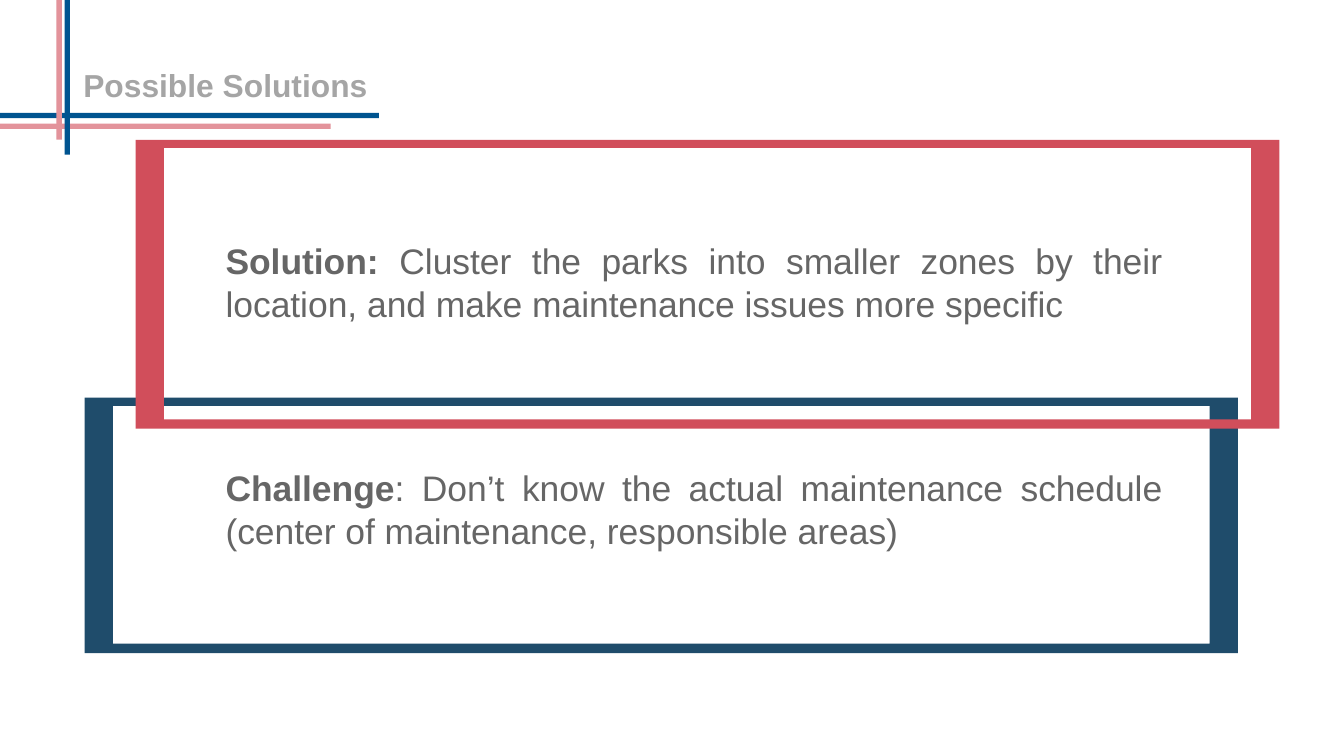
from pptx import Presentation
from pptx import util as u
from pptx.dml.color import RGBColor
from pptx.enum import shapes, text

Inches, Pt = u.Inches, u.Pt


def color(value):
    return RGBColor.from_string(value)


def add_run(p, content, size=19, fill="666666", bold=False, font="Arial"):
    r = p.add_run()
    r.text = content
    r.font.name, r.font.size, r.font.bold = font, Pt(size), bold
    r.font.color.rgb = color(fill)


class Deck:
    BLUE, PINK = "005490", "E3939B"
    NAVY, RED = "1F4C6B", "D14E5B"
    GREY = "A5A5A5"
    BAR_LENGTH, BAR_WIDTH = 3.84, 0.04

    def __init__(self, s):
        self.s = s

    def paint(self, sp, fill):
        sp.shadow.inherit = False
        sp.fill.solid()
        sp.fill.fore_color.rgb = color(fill)
        sp.line.fill.background()

    def bar(self, x, y, fill, rotation=0):
        sp = self.s.shapes.add_shape(
            shapes.MSO_SHAPE.RECTANGLE, Inches(x), Inches(y),
            Inches(self.BAR_LENGTH), Inches(self.BAR_WIDTH))
        sp.rotation = rotation
        self.paint(sp, fill)

    def frame(self, x, y, w, h, fill, side=0.21, top=0.06, bottom=0.07):
        def corners(x1, y1, x2, y2):
            return [(Inches(a), Inches(b)) for a, b in (
                (x1, y1), (x2, y1), (x2, y2), (x1, y2))]

        outer = corners(x, y, x + w, y + h)
        # The inner contour runs the other way round, so it cuts a hole
        inner = corners(x + side, y + top, x + w - side, y + h - bottom)[::-1]
        builder = self.s.shapes.build_freeform(*outer[0])
        builder.add_line_segments(outer[1:], close=True)
        builder.move_to(*inner[0])
        builder.add_line_segments(inner[1:], close=True)
        self.paint(builder.convert_to_shape(), fill)

    def textbox(self, x, y, w, h, inset=0):
        sp = self.s.shapes.add_textbox(Inches(x), Inches(y), Inches(w), Inches(h))
        tf = sp.text_frame
        tf.word_wrap = True
        tf.vertical_anchor = text.MSO_ANCHOR.TOP
        tf.margin_left = tf.margin_right = Inches(inset)
        tf.margin_top = tf.margin_bottom = Inches(inset)
        return tf

    def title(self, content):
        tf = self.textbox(0.62, 0.49, 5.67, 0.57)
        add_run(tf.paragraphs[0], content, size=17, fill=self.GREY, bold=True)

    def statements(self, items, gap=76):
        tf = self.textbox(1.08, 1.68, 7.67, 3, inset=0.1)
        for i, (label, content) in enumerate(items):
            p = tf.add_paragraph() if i else tf.paragraphs[0]
            p.alignment = text.PP_ALIGN.JUSTIFY
            p.space_before = Pt(gap if i else 0)
            p._p.get_or_add_pPr().set("marL", str(Inches(0.5)))
            add_run(p, label, bold=True)
            add_run(p, content)


def main():
    prs = Presentation()
    # Widescreen, 16:9
    prs.slide_width = Inches(10)
    prs.slide_height = prs.slide_width * 9 // 16
    deck = Deck(prs.slides.add_slide(prs.slide_layouts[6]))

    # Title and crossing bars that bleed off the corner
    deck.title("Possible Solutions")
    deck.bar(-1.38, 0.92, deck.PINK)
    deck.bar(-1.02, 0.84, deck.BLUE)
    deck.bar(-1.42, -0.79, deck.BLUE, rotation=90)
    deck.bar(-1.48, -0.9, deck.PINK, rotation=90)

    # Statements
    deck.statements([
        ("Solution:", " Cluster the parks into smaller zones by their location, "
                      "and make maintenance issues more specific"),
        ("Challenge", ": Don’t know the actual maintenance schedule "
                      "(center of maintenance, responsible areas)"),
    ])

    # Overlapping frames
    deck.frame(0.63, 2.96, 8.58, 1.9, deck.NAVY)
    deck.frame(1.01, 1.04, 8.51, 2.15, deck.RED)

    prs.save("out.pptx")


if __name__ == "__main__":
    main()
